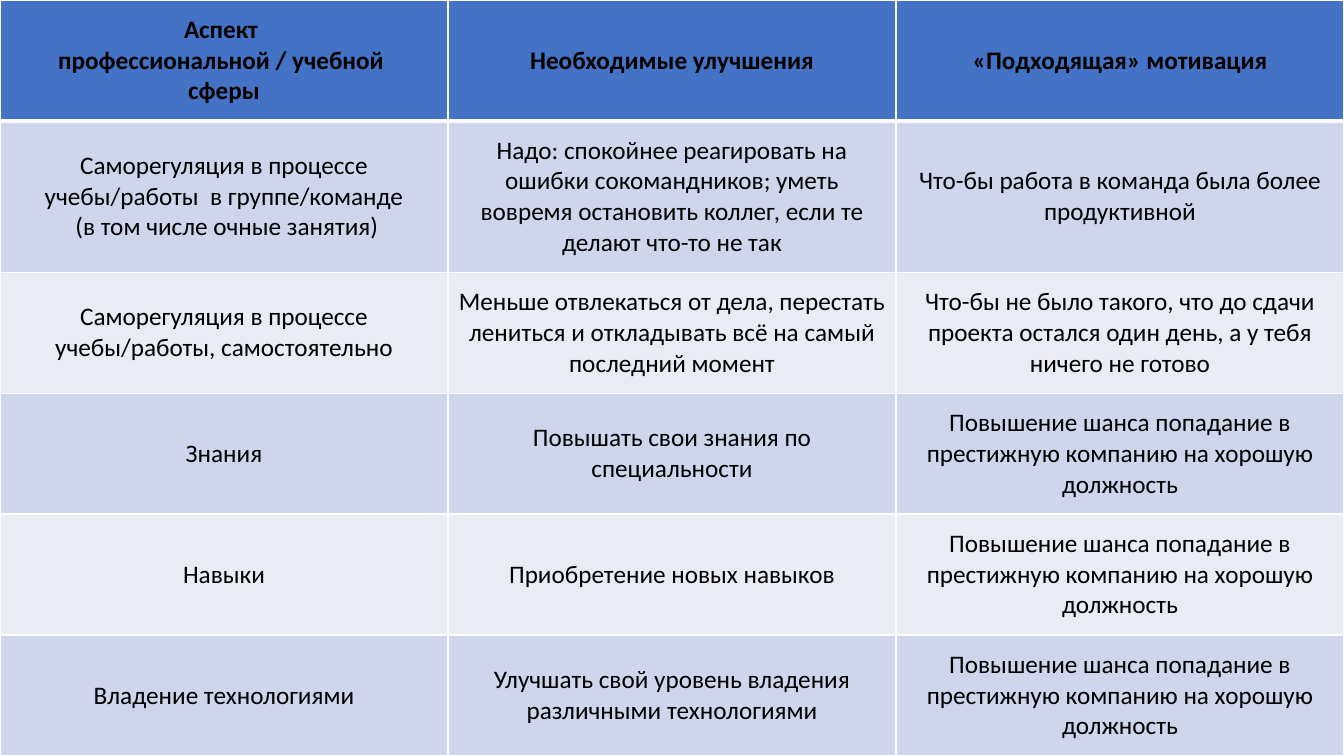
import pptx
import pptx.dml.color
import pptx.enum.text
import pptx.oxml
import pptx.oxml.ns
import pptx.util
from pptx.util import Inches

RGBColor = pptx.dml.color.RGBColor
BLACK = RGBColor(0x00, 0x00, 0x00)
WHITE = RGBColor(0xFF, 0xFF, 0xFF)
HEADER_BLUE = RGBColor(0x44, 0x72, 0xC4)
BAND_DARK = RGBColor(0xCF, 0xD5, 0xEA)
BAND_LIGHT = RGBColor(0xE9, 0xEB, 0xF5)

SLIDE_WIDTH, SLIDE_HEIGHT = 13.33, 7.5
ROW_HEIGHTS = [1.2, 1.5, 1.2, 1.2, 1.2, 1.2]
CAREER = "Повышение шанса попадание в престижную компанию на хорошую должность"

# "\v" breaks a line, "\n" starts a paragraph
ROWS = [
    ["Аспект \vпрофессиональной / учебной \vсферы",
     "Необходимые улучшения",
     "«Подходящая» мотивация"],
    ["Саморегуляция в процессе учебы/работы  в группе/команде\n (в том числе очные занятия)",
     "Надо: спокойнее реагировать на ошибки сокомандников; "
     "уметь вовремя остановить коллег, если те делают что-то не так",
     "Что-бы работа в команда была более продуктивной"],
    ["Саморегуляция в процессе учебы/работы, самостоятельно",
     "Меньше отвлекаться от дела, перестать лениться и откладывать всё на самый последний момент",
     "Что-бы не было такого, что до сдачи проекта остался один день, а у тебя ничего не готово"],
    ["Знания", "Повышать свои знания по специальности", CAREER],
    ["Навыки", "Приобретение новых навыков", CAREER],
    ["Владение технологиями", "Улучшать свой уровень владения различными технологиями", CAREER],
]


class SlideBuilder:
    font_name = "Calibri"
    font_size = pptx.util.Pt(18)

    def __init__(self, slide):
        self.slide = slide

    def add_table(self, rows, left, top, width, row_heights):
        column_count = len(rows[0])
        shape = self.slide.shapes.add_table(
            len(rows), column_count, Inches(left), Inches(top),
            Inches(width), Inches(sum(row_heights)))
        table = shape.table
        table.first_row = table.horz_banding = False
        for column in table.columns:
            column.width = Inches(width / column_count)
        for row_index, (texts, height) in enumerate(zip(rows, row_heights)):
            table.rows[row_index].height = Inches(height)
            for column_index, text in enumerate(texts):
                self.format_cell(table.cell(row_index, column_index), text, row_index)

    def format_cell(self, cell, text, row_index):
        is_header = row_index == 0
        # The rule under the header is thicker than the rest of the grid
        self.set_borders(cell, top=3 if row_index == 1 else 1, bottom=3 if is_header else 1)
        cell.fill.solid()
        band = BAND_DARK if row_index % 2 else BAND_LIGHT
        cell.fill.fore_color.rgb = HEADER_BLUE if is_header else band
        cell.vertical_anchor = pptx.enum.text.MSO_ANCHOR.MIDDLE
        cell.text_frame.text = text
        for paragraph in cell.text_frame.paragraphs:
            paragraph.alignment = pptx.enum.text.PP_ALIGN.CENTER
            paragraph.font.name = self.font_name
            paragraph.font.size = self.font_size
            paragraph.font.bold = is_header
            paragraph.font.color.rgb = BLACK

    def set_borders(self, cell, top, bottom):
        properties = cell._tc.get_or_add_tcPr()
        namespace = pptx.oxml.ns.nsdecls("a")
        for side, points in (("L", 1), ("R", 1), ("T", top), ("B", bottom)):
            properties.append(pptx.oxml.parse_xml(
                f'<a:ln{side} {namespace} w="{pptx.util.Pt(points)}"><a:solidFill>'
                f'<a:srgbClr val="{WHITE}"/></a:solidFill></a:ln{side}>'))


def main():
    presentation = pptx.Presentation()
    presentation.slide_width = Inches(SLIDE_WIDTH)
    presentation.slide_height = Inches(SLIDE_HEIGHT)

    # Blank layout: the table fills the whole slide
    slide = presentation.slides.add_slide(presentation.slide_layouts[6])
    builder = SlideBuilder(slide)
    builder.add_table(ROWS, 0, 0, SLIDE_WIDTH, ROW_HEIGHTS)

    presentation.save("out.pptx")


if __name__ == "__main__":
    main()
